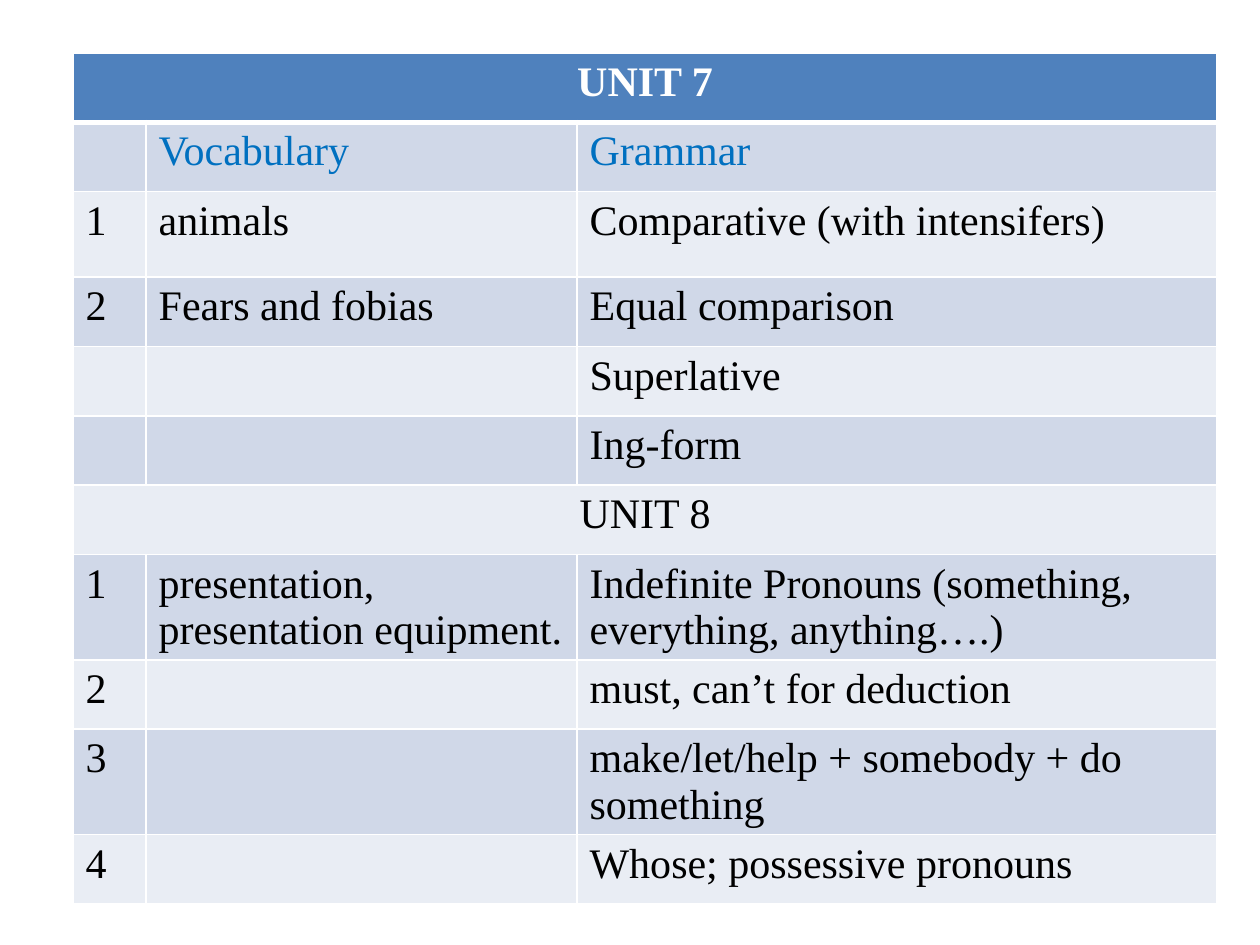
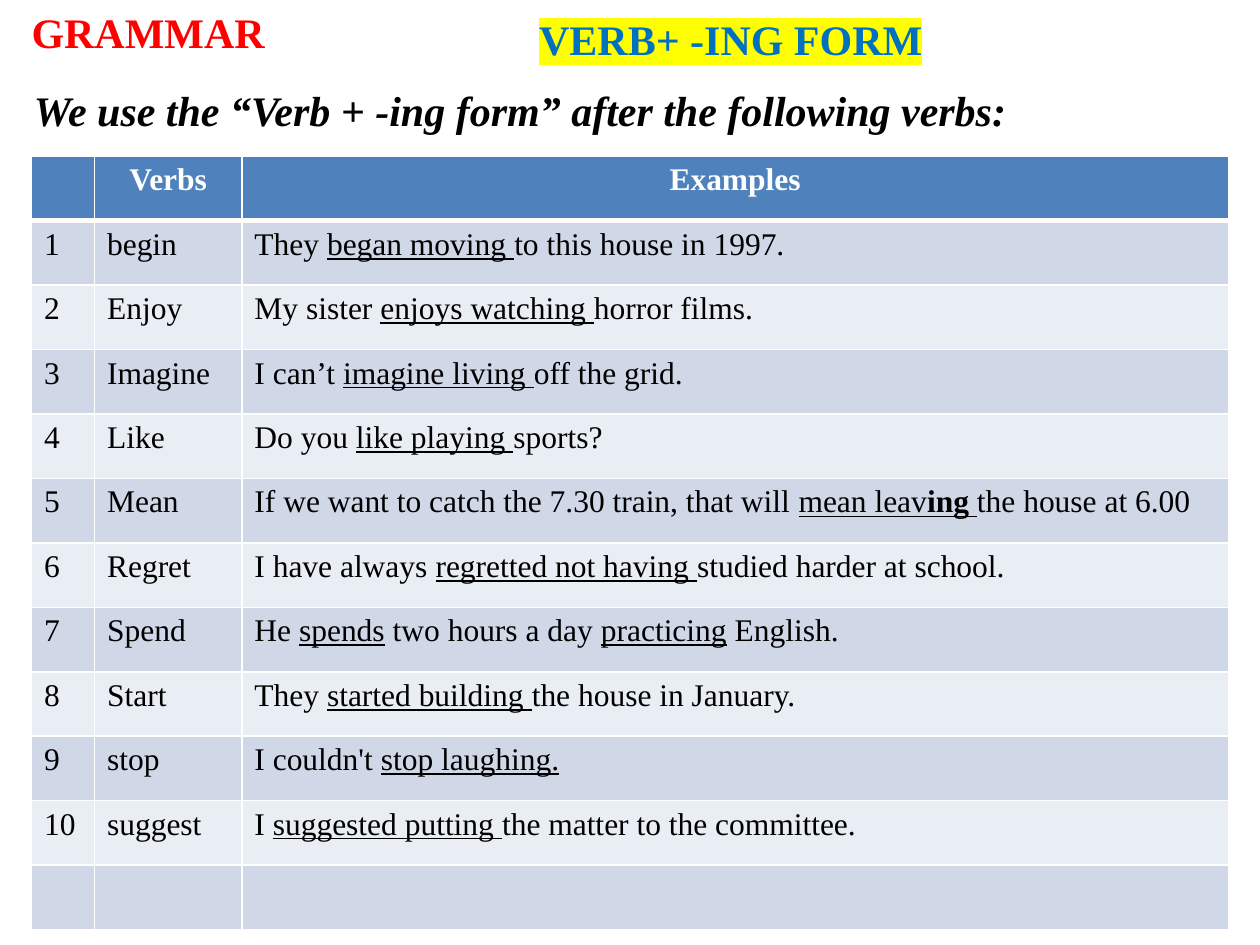
from typing import NamedTuple

from lxml.etree import SubElement
from pptx import Presentation
from pptx.dml.color import RGBColor
from pptx.enum.text import MSO_ANCHOR, MSO_AUTO_SIZE, PP_ALIGN
from pptx.oxml.ns import qn
from pptx.util import Inches, Pt

FONT = "Times New Roman"
COLORS = {
    "header": "4F81BD",
    "odd": "D0D8E8",
    "even": "E9EDF4",
    "white": "FFFFFF",
    "black": "000000",
    "blue": "0070C0",
    "red": "FF0000",
    "yellow": "FFFF00",
}


class Heading(NamedTuple):
    text: str
    left: float
    top: float
    width: float
    color: str
    italic: bool = False
    highlight: str = ""
    align: PP_ALIGN = PP_ALIGN.LEFT


class Grid(NamedTuple):
    left: float
    top: float
    cols: list[float]
    heights: list[float]
    size: int
    rows: list[tuple[str, ...]]
    blue_rows: tuple[int, ...] = ()


UNIT_ROWS = [
    ("UNIT 7",),
    ("", "Vocabulary", "Grammar"),
    ("1", "animals", "Comparative (with intensifers)"),
    ("2", "Fears and fobias", "Equal comparison"),
    ("", "", "Superlative"),
    ("", "", "Ing-form"),
    ("UNIT 8",),
    ("1", "presentation, presentation equipment.",
     "Indefinite Pronouns (something, everything, anything….)"),
    ("2", "", "must, can’t for deduction"),
    ("3", "", "make/let/help + somebody + do something"),
    ("4", "", "Whose; possessive pronouns"),
]
TALL_ROWS = {2: 0.68, 7: 0.83, 9: 0.83}
UNITS = Grid(0.58, 0.42, [0.58, 3.42, 5.08],
             [TALL_ROWS.get(i, 0.55) for i in range(len(UNIT_ROWS))],
             24, UNIT_ROWS, blue_rows=(1,))

# _underlined_ and *bold* parts are marked in the examples
VERB_EXAMPLES = [
    ("begin", "They _began moving _to this house in 1997."),
    ("Enjoy", "My sister _enjoys watching _horror films."),
    ("Imagine", "I can’t _imagine living _off the grid."),
    ("Like", "Do you _like playing _sports?"),
    ("Mean", "If we want to catch the 7.30 train, that will "
             "_mean leav*ing* _the house at 6.00"),
    ("Regret", "I have always _regretted not having _studied harder at school."),
    ("Spend", "He _spends_ two hours a day _practicing_ English."),
    ("Start", "They _started building _the house in January."),
    ("stop", "I couldn't _stop laughing._"),
    ("suggest", "I _suggested putting _the matter to the committee."),
]
VERB_ROWS = [
    ("", "Verbs", "Examples"),
    *((str(n), *pair) for n, pair in enumerate(VERB_EXAMPLES, 1)),
    ("", "", ""),
]
VERBS = Grid(0.25, 1.24, [0.5, 1.17, 7.83],
             [6.14 / len(VERB_ROWS)] * len(VERB_ROWS), 18, VERB_ROWS)

TITLE = Heading("GRAMMAR", 0.15, 0, 2.58, "red")
HEADINGS = [
    Heading("VERB+ -ING FORM", 3.5, 0.06, 4.6, "blue",
            highlight="yellow", align=PP_ALIGN.CENTER),
    Heading("We use the “Verb + -ing form” after the following verbs:",
            0.17, 0.62, 9.75, "black", italic=True),
]


def rgb(name: str) -> RGBColor:
    return RGBColor.from_string(COLORS[name])


def add_run(p, text: str, size: int, color: str, bold: bool = False):
    r = p.add_run()
    r.text = text
    r.font.name, r.font.size, r.font.bold = FONT, Pt(size), bold
    r.font.color.rgb = rgb(color)
    return r


def add_marked_text(p, text: str, size: int, color: str, bold: bool) -> None:
    """Add runs, switching underline at each _ and bold at each *."""
    for i, part in enumerate(text.split("_")):
        for j, piece in enumerate(part.split("*")):
            if piece:
                r = add_run(p, piece, size, color, bold or j % 2 == 1)
                r.font.underline = i % 2 == 1


def set_borders(cell, top: int, bottom: int) -> None:
    tc_pr = cell._tc.get_or_add_tcPr()
    for side, width in (("L", 1), ("R", 1), ("T", top), ("B", bottom)):
        ln = SubElement(tc_pr, qn(f"a:ln{side}"), w=str(Pt(width)))
        fill = SubElement(ln, qn("a:solidFill"))
        SubElement(fill, qn("a:srgbClr"), val=COLORS["white"])


def add_grid(s, grid: Grid) -> None:
    table = s.shapes.add_table(
        len(grid.rows), len(grid.cols), Inches(grid.left), Inches(grid.top),
        Inches(sum(grid.cols)), Inches(sum(grid.heights))).table
    for col, width in zip(table.columns, grid.cols):
        col.width = Inches(width)
    for i, texts in enumerate(grid.rows):
        table.rows[i].height = Inches(grid.heights[i])
        header, merged = i == 0, len(texts) == 1
        band = "header" if header else "odd" if i % 2 else "even"
        color = "white" if header else "blue" if i in grid.blue_rows else "black"
        for j in range(len(grid.cols)):
            cell = table.cell(i, j)
            set_borders(cell, 3 if i == 1 else 1, 3 if header else 1)
            cell.fill.solid()
            cell.fill.fore_color.rgb = rgb(band)
        if merged:
            table.cell(i, 0).merge(table.cell(i, len(grid.cols) - 1))
        for j, text in enumerate(texts):
            p = table.cell(i, j).text_frame.paragraphs[0]
            if header or merged:
                p.alignment = PP_ALIGN.CENTER
            add_marked_text(p, text, grid.size, color, header)


def write_heading(sp, heading: Heading) -> None:
    sp.left, sp.top = Inches(heading.left), Inches(heading.top)
    sp.width, sp.height = Inches(heading.width), Inches(0.5)
    tf = sp.text_frame
    tf.word_wrap = True
    tf.auto_size = MSO_AUTO_SIZE.SHAPE_TO_FIT_TEXT
    tf.vertical_anchor = MSO_ANCHOR.TOP
    p = tf.paragraphs[0]
    p.alignment = heading.align
    r = add_run(p, heading.text, 24, heading.color, bold=True)
    r.font.italic = heading.italic
    if heading.highlight:
        r_pr = r.font._element
        mark = SubElement(r_pr, qn("a:highlight"))
        SubElement(mark, qn("a:srgbClr"), val=COLORS[heading.highlight])
        r_pr.find(qn("a:solidFill")).addnext(mark)


def main() -> None:
    prs = Presentation()
    prs.slide_width, prs.slide_height = Inches(10), Inches(7.5)
    title_only, blank = prs.slide_layouts[5], prs.slide_layouts[6]

    add_grid(prs.slides.add_slide(blank), UNITS)

    s = prs.slides.add_slide(title_only)
    write_heading(s.shapes.title, TITLE)
    for heading in HEADINGS:
        write_heading(s.shapes.add_textbox(0, 0, 0, 0), heading)
    add_grid(s, VERBS)

    prs.save("out.pptx")


if __name__ == "__main__":
    main()
